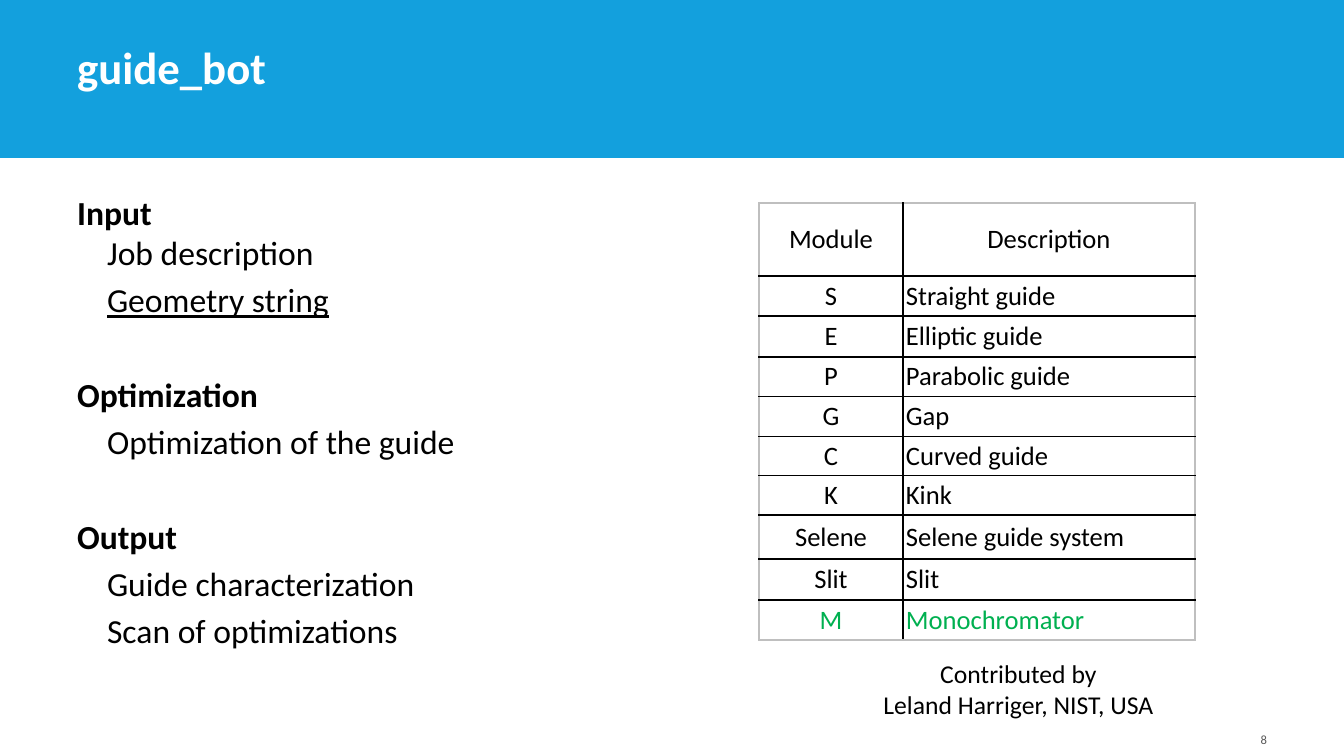
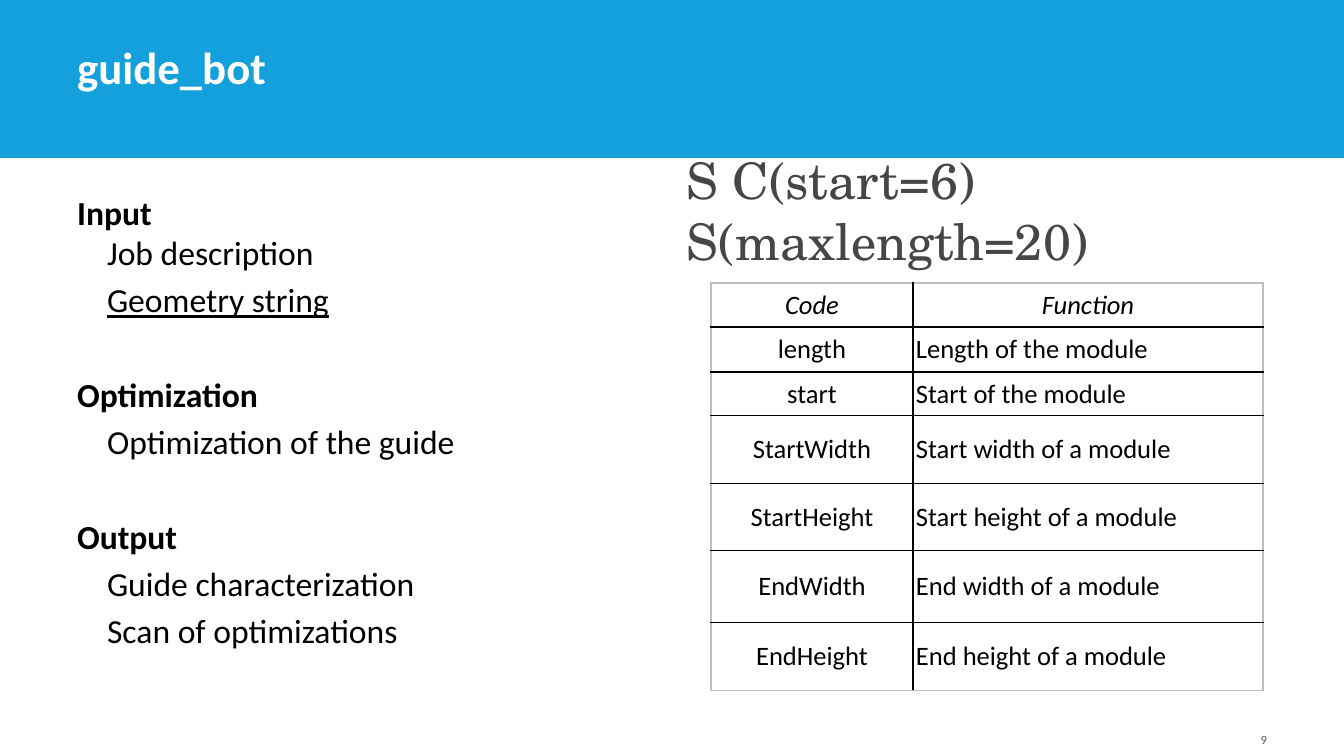
from copy import deepcopy

from lxml import etree
from pptx import Presentation
from pptx.dml.color import RGBColor
from pptx.enum.shapes import MSO_SHAPE
from pptx.enum.text import MSO_ANCHOR, MSO_AUTO_SIZE, PP_ALIGN
from pptx.oxml.ns import qn
from pptx.util import Emu, Pt

RECTANGLE = MSO_SHAPE.RECTANGLE
BOTTOM, MIDDLE, TOP = MSO_ANCHOR.BOTTOM, MSO_ANCHOR.MIDDLE, MSO_ANCHOR.TOP
LEFT, CENTER, RIGHT = PP_ALIGN.LEFT, PP_ALIGN.CENTER, PP_ALIGN.RIGHT
NO_AUTOFIT = MSO_AUTO_SIZE.NONE

BLUE, WHITE, BLACK = "13A0DD", "FFFFFF", "000000"
GREEN, GREY, DARK, PALE = "00B050", "595959", "464646", "BFBFBF"
SANS, SERIF = "Calibri", "TeX Gyre Schola"

OUTLINE = [
    ("Input", ["Job description", "Geometry string"]),
    ("Optimization", ["Optimization of the guide"]),
    ("Output", ["Guide characterization", "Scan of optimizations"]),
]
UNDERLINED = "Geometry string"

PAGES = [
    {
        "number": "8",
        "table_at": (759, 203),
        "columns": [144, 292],
        "heights": [73, 40, 41, 40, 40, 38, 40, 44, 41, 40],
        "rows": [
            ("Module", "Description"),
            ("S", "Straight guide"),
            ("E", "Elliptic guide"),
            ("P", "Parabolic guide"),
            ("G", "Gap"),
            ("C", "Curved guide"),
            ("K", "Kink"),
            ("Selene", "Selene guide system"),
            ("Slit", "Slit"),
            ("M", "Monochromator"),
        ],
        "italic_header": False,
        "green_key": "M",
        "note": "Contributed by\nLeland Harriger, NIST, USA",
        "note_at": (855, 654, 327, 70),
        "note_style": (18.3, BLACK, SANS),
        "note_align": CENTER,
        "note_inset": 4,
    },
    {
        "number": "9",
        "table_at": (711, 283),
        "columns": [202, 350],
        "heights": [44, 45, 44, 68, 67, 72, 68],
        "rows": [
            ("Code", "Function"),
            ("length", "Length of the module"),
            ("start", "Start of the module"),
            ("StartWidth", "Start width of a module"),
            ("StartHeight", "Start height of a module"),
            ("EndWidth", "End width of a module"),
            ("EndHeight", "End height of a module"),
        ],
        "italic_header": True,
        "green_key": None,
        "note": "S C(start=6) S(maxlength=20)",
        "note_at": (684, 148, 606, 124),
        "note_style": (36, DARK, SERIF),
        "note_align": LEFT,
        "note_inset": 3,
    },
]


def px(length):
    return Emu(round(length * 9144000 / 1008))


def style(paragraph, size, color, name=SANS, align=LEFT, bold=False, italic=False):
    paragraph.alignment = align
    for span in paragraph.runs:
        font = span.font
        font.size, font.name = Pt(size), name
        font.bold, font.italic = bold, italic
        font.color.rgb = RGBColor.from_string(color)


deck = Presentation()
deck.slide_width, deck.slide_height = px(1344), px(756)
layout = deck.slide_layouts[1]

places = {0: (67, 38, 1049, 61), 1: (67, 187, 472, 501), 12: (964, 712, 313, 40)}
for holder in layout.placeholders:
    index = holder.placeholder_format.idx
    if index in places:
        holder.left, holder.top, holder.width, holder.height = map(px, places[index])
    if index == 12:
        number_holder = holder

slides = [deck.slides.add_slide(layout) for page in PAGES]

band = slides[0].shapes.add_shape(RECTANGLE, 0, 0, px(1344), px(158))
band.shadow.inherit = False
band.fill.solid()
band.fill.fore_color.rgb = RGBColor.from_string(BLUE)
band.line.fill.background()
layout.shapes.element.insert(2, band.element)

for slide, page in zip(slides, PAGES):
    title = slide.shapes.title.text_frame
    title.text = "guide_bot"
    title.vertical_anchor = BOTTOM
    title.auto_size = NO_AUTOFIT
    style(title.paragraphs[0], 32, WHITE, bold=True)

    body = slide.placeholders[1].text_frame
    body.vertical_anchor = TOP
    body.auto_size = NO_AUTOFIT
    lines = []
    for heading, items in OUTLINE:
        lines.append((heading, True, 39 if lines else 0))
        for item in items:
            lines.append((item, False, 0 if len(lines) == 1 else 4.8))
    body.text = "\n".join(text for text, heading, space in lines)
    for paragraph, (text, heading, space) in zip(body.paragraphs, lines):
        paragraph.level = 0 if heading else 1
        paragraph.space_before = Pt(space)
        properties = paragraph._p.get_or_add_pPr()
        properties.set("marL", str(px(0 if heading else 30)))
        properties.set("indent", "0")
        etree.SubElement(properties, qn("a:buNone"))
        style(paragraph, 24, BLACK, bold=heading)
        paragraph.runs[0].font.underline = text == UNDERLINED

    slide.shapes.element.append(deepcopy(number_holder.element))
    number = slide.shapes[-1].text_frame
    number.text = page["number"]
    number.vertical_anchor = BOTTOM
    style(number.paragraphs[0], 9, GREY, align=RIGHT)

    rows, columns, heights = page["rows"], page["columns"], page["heights"]
    left, top = page["table_at"]
    table = slide.shapes.add_table(
        len(rows), len(columns), px(left), px(top), px(sum(columns)), px(sum(heights))
    ).table
    table.first_row = table.horz_banding = False
    for column, width in zip(table.columns, columns):
        column.width = px(width)
    for row, height in zip(table.rows, heights):
        row.height = px(height)

    for row_index, texts in enumerate(rows):
        header = row_index == 0
        for column_index, text in enumerate(texts):
            cell = table.cell(row_index, column_index)
            cell.text = text
            cell.vertical_anchor = MIDDLE
            cell.margin_left = cell.margin_right = px(3)
            cell.margin_top = cell.margin_bottom = px(3)
            style(
                cell.text_frame.paragraphs[0],
                19,
                GREEN if texts[0] == page["green_key"] else BLACK,
                align=CENTER if header or column_index == 0 else LEFT,
                italic=header and page["italic_header"],
            )
            outer_edges = {
                "a:lnL": column_index == 0,
                "a:lnR": column_index == len(columns) - 1,
                "a:lnT": header,
                "a:lnB": row_index == len(rows) - 1,
            }
            properties = cell._tc.get_or_add_tcPr()
            for edge, outer in outer_edges.items():
                line = etree.SubElement(properties, qn(edge), w=str(Pt(1)))
                fill = etree.SubElement(line, qn("a:solidFill"))
                etree.SubElement(fill, qn("a:srgbClr"), val=PALE if outer else BLACK)
            cell.fill.background()

    box = slide.shapes.add_textbox(*map(px, page["note_at"]))
    note = box.text_frame
    note.word_wrap = True
    note.vertical_anchor = MIDDLE
    inset = px(page["note_inset"])
    note.margin_left = note.margin_right = inset
    note.margin_top = note.margin_bottom = inset
    note.text = page["note"]
    for paragraph in note.paragraphs:
        style(paragraph, *page["note_style"], align=page["note_align"])

deck.save("out.pptx")
